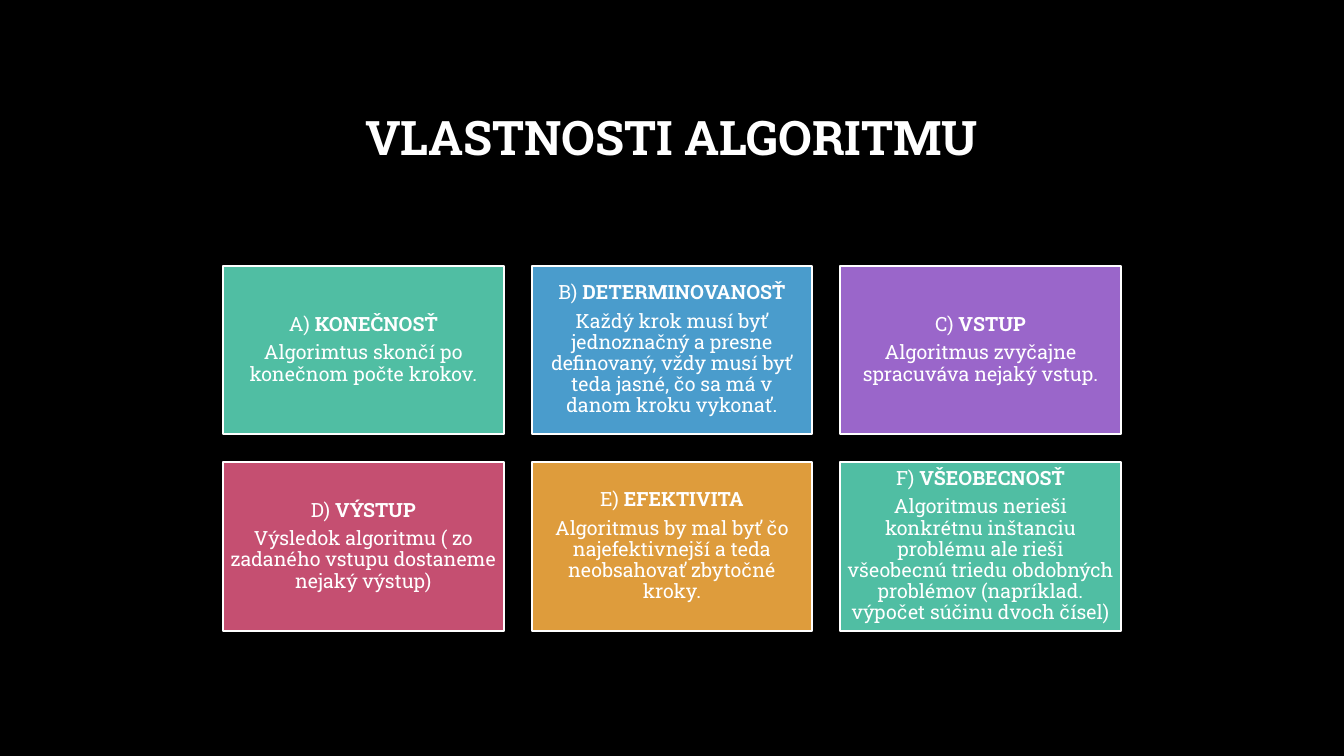
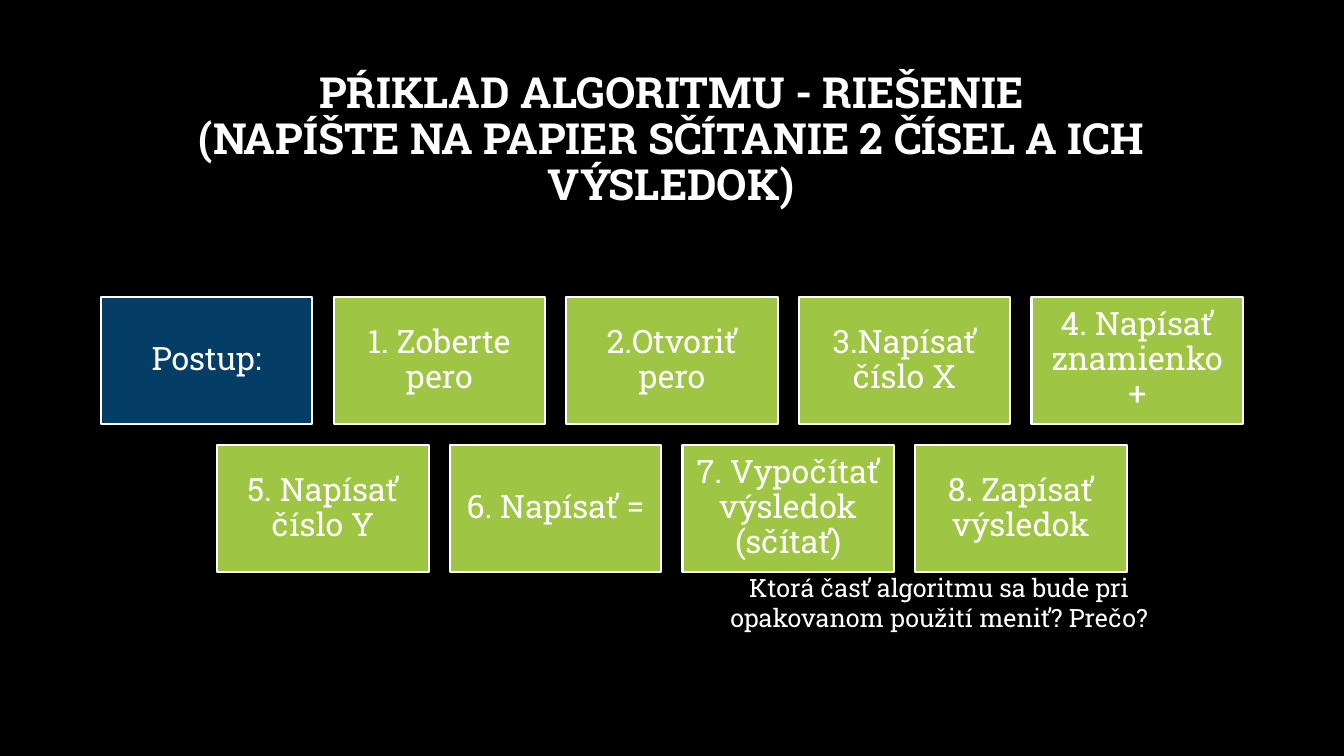
from pptx import Presentation
from pptx import util as u
from pptx.dml.color import RGBColor
from pptx.enum import shapes, text

WIDE, HIGH = 33.87, 19.05
WHITE, BLACK, NAVY, LIME = "FFFFFF", "000000", "043D66", "9EC544"
TEAL, BLUE, PLUM, ROSE, GOLD = "50BEA3", "4A9CCC", "9A66CA", "C54F71", "DE9C3C"

CARDS = [
    (TEAL, "A) ", "KONEČNOSŤ", "Algorimtus skončí po konečnom počte krokov."),
    (BLUE, "B) ", "DETERMINOVANOSŤ",
     "Každý krok musí byť jednoznačný a presne definovaný, vždy musí byť "
     "teda jasné, čo sa má v danom kroku vykonať."),
    (PLUM, "C) ", "VSTUP", "Algoritmus zvyčajne spracuváva nejaký vstup."),
    (ROSE, "D) ", "VÝSTUP",
     "Výsledok algoritmu ( zo zadaného vstupu dostaneme nejaký výstup)"),
    (GOLD, "E) ", "EFEKTIVITA",
     "Algoritmus by mal byť čo najefektivnejší a teda neobsahovať zbytočné kroky."),
    (TEAL, "F) ", "VŠEOBECNOSŤ",
     "Algoritmus nerieši konkrétnu inštanciu problému ale rieši všeobecnú "
     "triedu obdobných problémov (napríklad. výpočet súčinu dvoch čísel)"),
]
STEPS = [
    "Postup:", "1. Zoberte pero", "2.Otvoriť pero", "3.Napísať číslo X",
    "4. Napísať znamienko +", "5. Napísať číslo Y", "6. Napísať =",
    "7. Vypočítať výsledok (sčítať)", "8. Zapísať výsledok",
]


def color(code):
    return RGBColor.from_string(code)


def assign(item, values):
    for name, value in values.items():
        setattr(item, name, value)


class Deck:
    font = "Roboto Slab"

    def __init__(self):
        self.prs = Presentation()
        assign(self.prs, {"slide_width": u.Cm(WIDE), "slide_height": u.Cm(HIGH)})
        fill = self.prs.slide_master.background.fill
        fill.solid()
        fill.fore_color.rgb = color(BLACK)

    def label(self, frame, paras, size, lead=0.9, after=0):
        """Fill a frame; each paragraph is a list of (words, bold) runs."""
        assign(frame, {"word_wrap": True, "auto_size": text.MSO_AUTO_SIZE.NONE})
        for i, runs in enumerate(paras):
            para = frame.add_paragraph() if i else frame.paragraphs[0]
            assign(para, {"alignment": text.PP_ALIGN.CENTER,
                          "line_spacing": lead, "space_after": u.Pt(after)})
            for words, bold in runs:
                run = para.add_run()
                run.text = words
                assign(run.font, {"name": self.font, "size": u.Pt(size), "bold": bold})
                run.font.color.rgb = color(WHITE)

    def start(self, lines, size):
        """Add a slide with its title."""
        self.slide = self.prs.slides.add_slide(self.prs.slide_layouts[5])
        title = self.slide.shapes.title
        assign(title, {"left": u.Cm(2.54), "top": u.Cm(1.7),
                       "width": u.Cm(28.76), "height": u.Cm(3.68)})
        title.text_frame.vertical_anchor = text.MSO_ANCHOR.MIDDLE
        self.label(title.text_frame, [[(line, True)] for line in lines], size)

    def box(self, x, y, w, h, fill, paras, size, inset):
        box = self.slide.shapes.add_shape(
            shapes.MSO_SHAPE.RECTANGLE, *map(u.Cm, (x, y, w, h)))
        box.shadow.inherit = False
        box.fill.solid()
        box.fill.fore_color.rgb = color(fill)
        box.line.color.rgb = color(WHITE)
        box.line.width = u.Pt(1.5)
        pad = u.Cm(inset)
        assign(box.text_frame, {
            "vertical_anchor": text.MSO_ANCHOR.MIDDLE, "margin_left": pad,
            "margin_top": pad, "margin_right": pad, "margin_bottom": pad})
        self.label(box.text_frame, paras, size, after=0.35 * size)

    def grid(self, items, cols, top, w, size, inset):
        """Lay (fill, paragraphs) items in centred rows; gaps are a tenth of w."""
        for i, (fill, paras) in enumerate(items):
            row, col = divmod(i, cols)
            count = min(cols, len(items) - row * cols)
            left = (WIDE - (1.1 * count - 0.1) * w) / 2
            self.box(left + 1.1 * w * col, top + 0.7 * w * row,
                     w, 0.6 * w, fill, paras, size, inset)

    def note(self, x, y, w, h, words, size):
        box = self.slide.shapes.add_textbox(*map(u.Cm, (x, y, w, h)))
        self.label(box.text_frame, [[(words, False)]], size, lead=1)


def main():
    deck = Deck()
    deck.start(["VLASTNOSTI ALGORITMU"], 34)
    cards = [(fill, [[(mark, False), (name, True)], [(body, False)]])
             for fill, mark, name, body in CARDS]
    deck.grid(cards, 3, 6.7, 7.07, 14, 0.15)

    deck.start(["PŔIKLAD ALGORITMU - RIEŠENIE",
                "(NAPÍŠTE NA PAPIER SČÍTANIE 2 ČÍSEL A ICH VÝSLEDOK)"], 30.6)
    steps = [(LIME if i else NAVY, [[(step, False)]]) for i, step in enumerate(STEPS)]
    deck.grid(steps, 5, 7.48, 5.33, 23, 0.25)
    deck.note(17.12, 14.3, 13.1, 1.8,
              "Ktorá časť algoritmu sa bude pri opakovanom použití meniť? Prečo?", 18)
    deck.prs.save("out.pptx")


if __name__ == "__main__":
    main()
